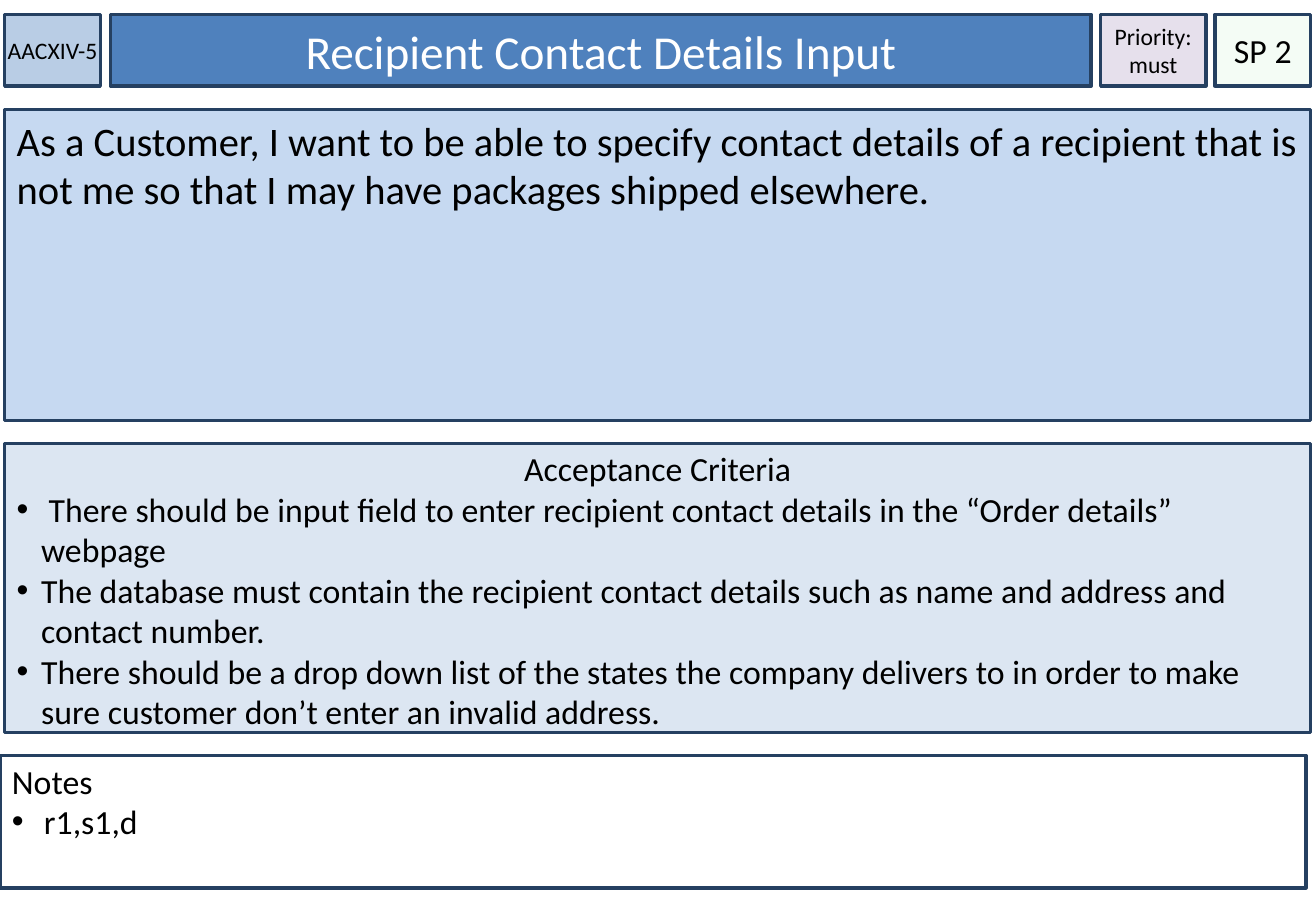
from dataclasses import dataclass

from lxml import etree
from pptx import Presentation
from pptx import util as u
from pptx.dml.color import RGBColor
from pptx.enum import shapes, text
from pptx.oxml import ns

FONT = "Calibri"
BORDER = "254061"
BLACK = "000000"
CENTER = text.PP_ALIGN.CENTER
LEFT = text.PP_ALIGN.LEFT
MARGIN = 0.1
FULL_WIDTH = 27.3
HEADER_TOP = 0.3
HEADER_HEIGHT = 1.5
TAG_SIZE = 14
BULLET_INDENT = 0.51


@dataclass(frozen=True)
class Line:
    words: str
    align: text.PP_ALIGN = LEFT
    bullet: bool = False


@dataclass(frozen=True)
class Panel:
    left: float
    top: float
    width: float
    height: float
    fill: str
    lines: tuple[Line, ...]
    size: int = 20
    color: str = BLACK
    anchor: text.MSO_ANCHOR = text.MSO_ANCHOR.TOP
    side_inset: float = 0.25
    top_inset: float = 0.13
    wrap: bool = True
    opacity: int = 100


def header(left: float, width: float, fill: str, *words: str, size: int = 20,
           color: str = BLACK, side_inset: float = 0, wrap: bool = True,
           opacity: int = 100) -> Panel:
    lines = tuple(Line(word, CENTER) for word in words)
    return Panel(left, HEADER_TOP, width, HEADER_HEIGHT, fill, lines, size, color,
                 text.MSO_ANCHOR.MIDDLE, side_inset, wrap=wrap, opacity=opacity)


PANELS = (
    header(MARGIN, 2, "B9CDE5", "AACXIV-5", size=TAG_SIZE, wrap=False),
    header(2.31, 20.5, "4F81BD", "Recipient Contact Details Input",
           size=28, color="FFFFFF", side_inset=0.25),
    Panel(MARGIN, 2.29, FULL_WIDTH, 6.5, "C6D9F1", (
        Line("As a Customer, I want to be able to specify contact details of a "
             "recipient that is not me so that I may have packages shipped elsewhere."),
    ), size=24),
    Panel(MARGIN, 9.27, FULL_WIDTH, 6.05, "DCE6F2", (
        Line("Acceptance Criteria", CENTER),
        Line(" There should be input field to enter recipient contact details "
             "in the “Order details” webpage", bullet=True),
        Line("The database must contain the recipient contact details such as "
             "name and address and contact number.", bullet=True),
        Line("There should be a drop down list of the states the company delivers "
             "to in order to make sure customer don’t enter an invalid address.",
             bullet=True),
    ), top_inset=0.1),
    header(25.4, 2, "CCF0CD", "SP 2", opacity=20),
    header(23.01, 2.2, "E6E0EC", "Priority:", "must", size=TAG_SIZE, wrap=False),
    Panel(0, 15.8, FULL_WIDTH, 2.77, "FFFFFF", (
        Line("Notes"),
        Line(" r1,s1,d", bullet=True),
    ), top_inset=0.1),
)


def rgb(value: str) -> RGBColor:
    return RGBColor.from_string(value)


def set_opacity(box, percent: int) -> None:
    color = box.fill._xPr.find(ns.qn("a:solidFill"))[0]
    etree.SubElement(color, ns.qn("a:alpha"), val=str(percent * 1000))


def add_bullet(para) -> None:
    properties = para._p.get_or_add_pPr()
    indent = u.Cm(BULLET_INDENT)
    properties.set("marL", str(indent))
    properties.set("indent", str(-indent))
    etree.SubElement(properties, ns.qn("a:buFont"), typeface="Arial")
    etree.SubElement(properties, ns.qn("a:buChar"), char="•")


def write_line(para, line: Line, panel: Panel) -> None:
    para.alignment = line.align
    if line.bullet:
        add_bullet(para)
    span = para.add_run()
    span.text = line.words
    span.font.name = FONT
    span.font.size = u.Pt(panel.size)
    span.font.color.rgb = rgb(panel.color)


def draw_panel(page, panel: Panel) -> None:
    box = page.shapes.add_shape(
        shapes.MSO_SHAPE.RECTANGLE, u.Cm(panel.left), u.Cm(panel.top),
        u.Cm(panel.width), u.Cm(panel.height))
    box.shadow.inherit = False
    box.fill.solid()
    box.fill.fore_color.rgb = rgb(panel.fill)
    if panel.opacity < 100:
        set_opacity(box, panel.opacity)
    box.line.color.rgb = rgb(BORDER)
    box.line.width = u.Pt(2)
    frame = box.text_frame
    frame.word_wrap = panel.wrap
    frame.vertical_anchor = panel.anchor
    frame.margin_left = frame.margin_right = u.Cm(panel.side_inset)
    frame.margin_top = u.Cm(panel.top_inset)
    frame.margin_bottom = u.Cm(0.13)
    for index, line in enumerate(panel.lines):
        para = frame.add_paragraph() if index else frame.paragraphs[0]
        write_line(para, line, panel)


def main() -> None:
    deck = Presentation()
    deck.slide_width = u.Cm(27.51)
    deck.slide_height = u.Cm(19.05)
    page = deck.slides.add_slide(deck.slide_layouts[6])
    for panel in PANELS:
        draw_panel(page, panel)
    deck.save("out.pptx")


if __name__ == "__main__":
    main()
